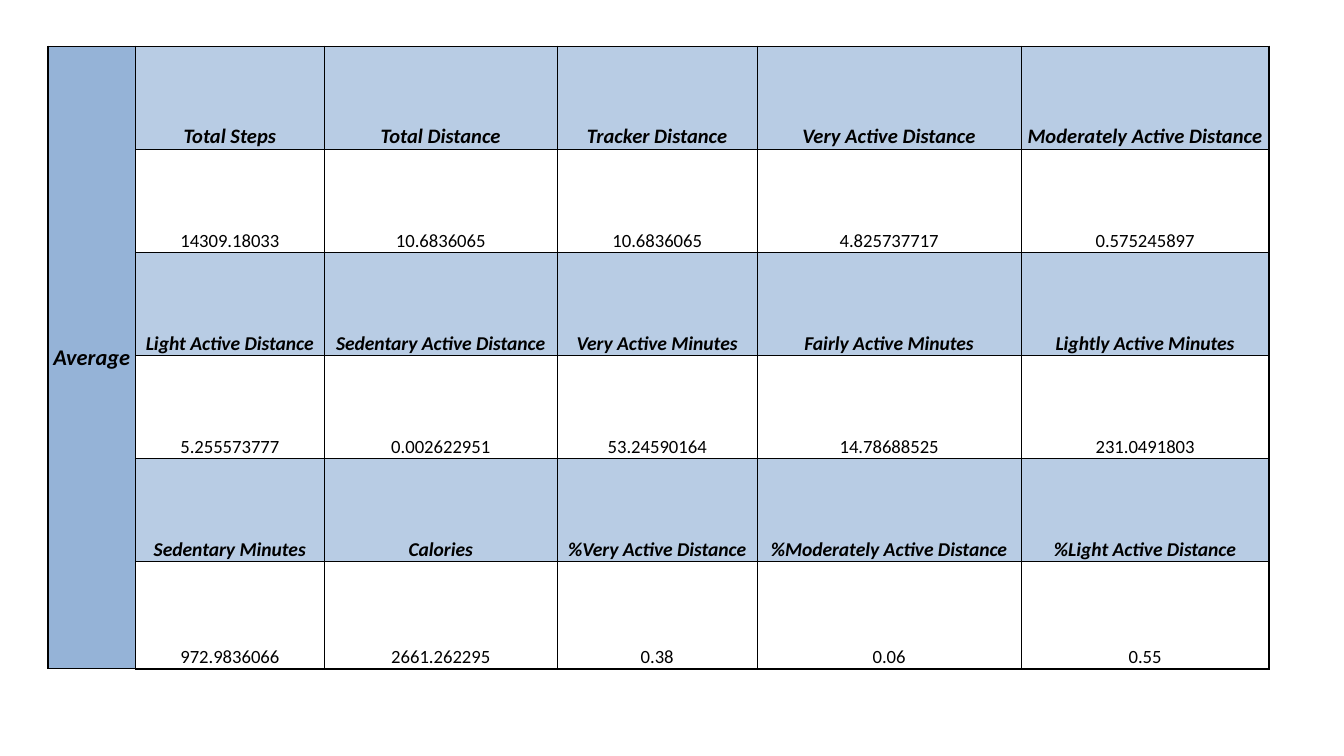
from lxml.etree import SubElement
from pptx import Presentation
from pptx.dml.color import RGBColor
from pptx.enum.text import MSO_ANCHOR as Anchor, PP_ALIGN as Align
from pptx.oxml.ns import qn
from pptx.util import Pt

BLACK = "000000"
LABEL_FILL = "95B3D7"
HEADER_FILL = "B8CCE4"
THIN, THICK = 0.5, 1
COLUMN_WIDTHS = [46.8, 101, 125, 107, 141.5, 132.8]
ROW_HEIGHTS = [55.2] * 5 + [57.6]
HEADER_SIZES = [11, 10.5, 10.5]
VALUE_SIZE = 10
ROWS = [
    ["Total Steps", "Total Distance", "Tracker Distance",
     "Very Active Distance", "Moderately Active Distance"],
    ["14309.18033", "10.6836065", "10.6836065", "4.825737717", "0.575245897"],
    ["Light Active Distance", "Sedentary Active Distance", "Very Active Minutes",
     "Fairly Active Minutes", "Lightly Active Minutes"],
    ["5.255573777", "0.002622951", "53.24590164", "14.78688525", "231.0491803"],
    ["Sedentary Minutes", "Calories", "%Very Active Distance",
     "%Moderately Active Distance", "%Light Active Distance"],
    ["972.9836066", "2661.262295", "0.38", "0.06", "0.55"],
]


def color(value):
    return RGBColor.from_string(value)


def set_borders(cell, left, right, top, bottom):
    properties = cell._tc.get_or_add_tcPr()
    for side, width in zip("LRTB", (left, right, top, bottom)):
        line = SubElement(properties, qn(f"a:ln{side}"), w=str(Pt(width)))
        fill = SubElement(line, qn("a:solidFill"))
        SubElement(fill, qn("a:srgbClr"), val=BLACK)


def set_fill(cell, value):
    if value:
        cell.fill.solid()
        cell.fill.fore_color.rgb = color(value)
    else:
        cell.fill.background()


def write_cell(cell, text, size, emphasis, anchor=Anchor.BOTTOM):
    cell.margin_left = cell.margin_right = cell.margin_top = Pt(0.7)
    cell.margin_bottom = 0
    cell.vertical_anchor = anchor
    paragraph = cell.text_frame.paragraphs[0]
    paragraph.text = text
    paragraph.alignment = Align.CENTER
    font = paragraph.font
    font.name = "Calibri"
    font.size = Pt(size)
    font.bold = font.italic = emphasis
    font.color.rgb = color(BLACK)


def add_average_table(slide):
    row_count, column_count = len(ROW_HEIGHTS), len(COLUMN_WIDTHS)
    table = slide.shapes.add_table(
        row_count, column_count, Pt(25.8), Pt(24.8),
        Pt(sum(COLUMN_WIDTHS)), Pt(sum(ROW_HEIGHTS))).table
    table.first_row = table.horz_banding = False
    for column, width in zip(table.columns, COLUMN_WIDTHS):
        column.width = Pt(width)
    for row, height in zip(table.rows, ROW_HEIGHTS):
        row.height = Pt(height)

    for r in range(row_count):
        is_header = r % 2 == 0
        for c in range(column_count):
            cell = table.cell(r, c)
            set_borders(cell,
                        THICK if c == 0 else THIN,
                        THICK if c == column_count - 1 else THIN,
                        THICK if r == 0 else THIN,
                        THICK if r == row_count - 1 else THIN)
            if c == 0:
                set_fill(cell, LABEL_FILL)
            else:
                set_fill(cell, HEADER_FILL if is_header else None)
                size = HEADER_SIZES[r // 2] if is_header else VALUE_SIZE
                write_cell(cell, ROWS[r][c - 1], size, is_header)

    label = table.cell(0, 0)
    label.merge(table.cell(row_count - 1, 0))
    write_cell(label, "Average", 12, True, Anchor.MIDDLE)


def main():
    presentation = Presentation()
    presentation.slide_width = Pt(720)
    presentation.slide_height = Pt(405)
    slide = presentation.slides.add_slide(presentation.slide_layouts[6])
    add_average_table(slide)
    presentation.save("out.pptx")


if __name__ == "__main__":
    main()
